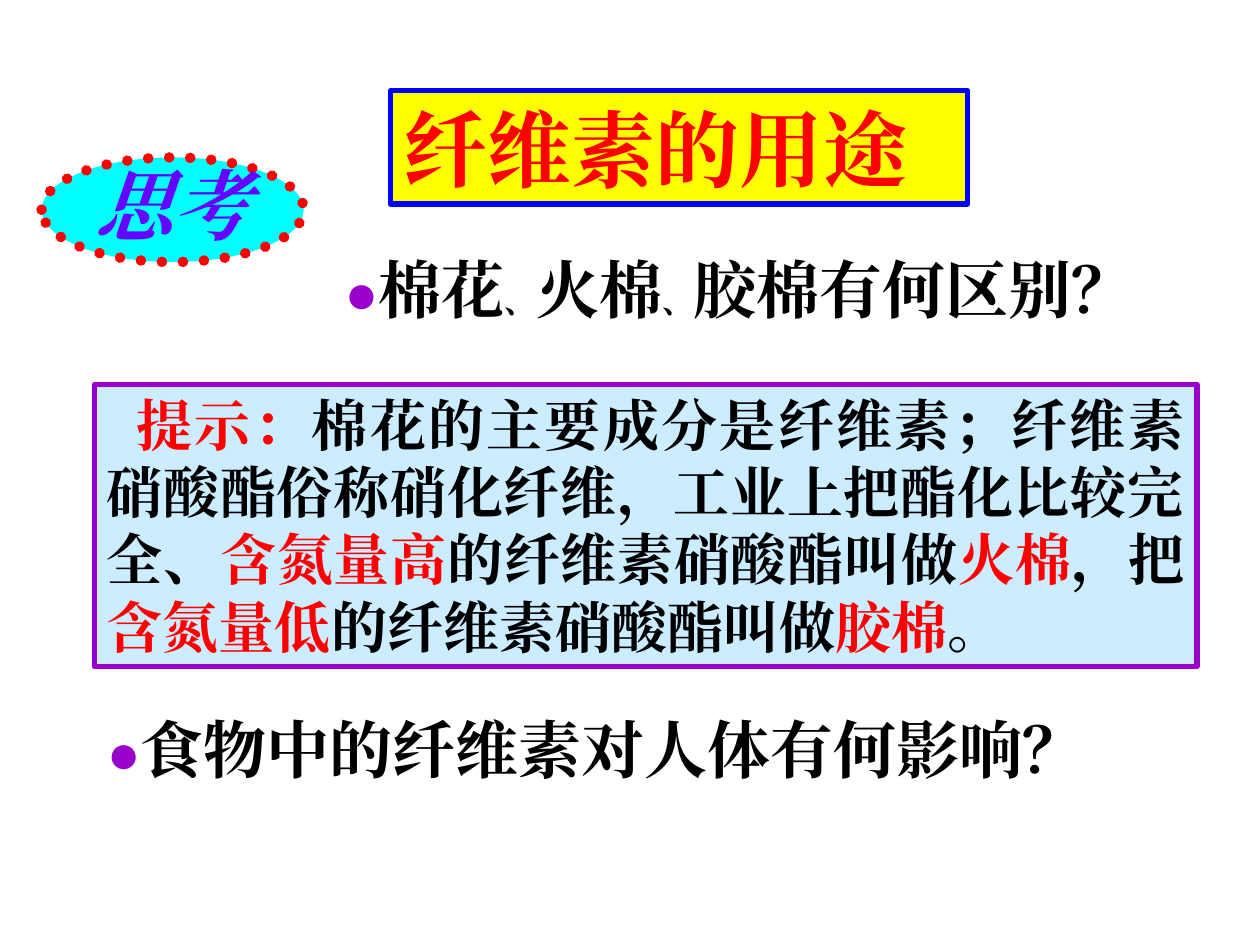
from dataclasses import dataclass
from typing import Optional

from lxml.etree import SubElement
from pptx import Presentation
from pptx.dml.color import RGBColor
from pptx.enum.dml import MSO_LINE
from pptx.enum.lang import MSO_LANGUAGE_ID
from pptx.enum.shapes import MSO_SHAPE
from pptx.enum.text import MSO_ANCHOR, PP_ALIGN
from pptx.oxml.ns import qn
from pptx.util import Pt

FONT = "Times New Roman"
RED, BLACK, PURPLE = "FF0000", "000000", "9900CC"


@dataclass
class Run:
    text: str
    size: float
    color: str = BLACK
    bold: bool = True
    italic: bool = False


@dataclass
class Box:
    left: float
    top: float
    width: float
    height: float


def rgb(value: str) -> RGBColor:
    return RGBColor.from_string(value)


def place(sp, box: Box) -> None:
    sp.left, sp.top = Pt(box.left), Pt(box.top)
    sp.width, sp.height = Pt(box.width), Pt(box.height)


def paint(sp, fill: str, line: str, weight: float) -> None:
    sp.fill.solid()
    sp.fill.fore_color.rgb = rgb(fill)
    sp.line.color.rgb = rgb(line)
    sp.line.width = Pt(weight)


def write(sp, runs: list[Run], *, align=PP_ALIGN.LEFT, anchor=MSO_ANCHOR.TOP,
          spacing: float = 1.0, indent: Optional[float] = None) -> None:
    tf = sp.text_frame
    tf.word_wrap = True
    tf.vertical_anchor = anchor
    tf.margin_left = tf.margin_right = Pt(7.2)
    tf.margin_top = tf.margin_bottom = Pt(3.6)
    p = tf.paragraphs[0]
    p.alignment, p.line_spacing = align, spacing
    p.space_before = Pt(0)
    if indent is not None:
        p._p.get_or_add_pPr().set("indent", str(Pt(indent)))
    for run in runs:
        r = p.add_run()
        r.text = run.text
        font = r.font
        font.name, font.size = FONT, Pt(run.size)
        font.bold, font.italic = run.bold, run.italic
        font.color.rgb = rgb(run.color)
        font.language_id = MSO_LANGUAGE_ID.SIMPLIFIED_CHINESE
        SubElement(r._r.get_or_add_rPr(), qn("a:ea")).set("typeface", FONT)


def add_panel(s, kind, box: Box, fill: str, line: str, weight: float):
    sp = s.shapes.add_shape(kind, 0, 0, 0, 0)
    place(sp, box)
    sp.shadow.inherit = False
    paint(sp, fill, line, weight)
    return sp


def add_question(s, box: Box, runs: list[Run], **fmt) -> None:
    sp = s.shapes.add_textbox(0, 0, 0, 0)
    place(sp, box)
    write(sp, [Run("●", 32, PURPLE, bold=False)] + runs, **fmt)


prs = Presentation()
prs.slide_width, prs.slide_height = Pt(720), Pt(540)
s = prs.slides.add_slide(prs.slide_layouts[5])

# Title
title = s.shapes.title
place(title, Box(223.2, 51.84, 329.76, 64.8))
paint(title, "FFFF00", "0000FF", 3)
write(title, [Run("纤维素的用途", 48, RED)], anchor=MSO_ANCHOR.MIDDLE)

# Hint, with the key terms in red
hint = add_panel(s, MSO_SHAPE.RECTANGLE, Box(54, 219.6, 630, 161.28),
                 "CCECFF", PURPLE, 3)
hint_parts = [
    ("提示：", RED),
    ("棉花的主要成分是纤维素；纤维素硝酸酯俗称硝化纤维，工业上把酯化比较完全、", BLACK),
    ("含氮量高", RED), ("的纤维素硝酸酯叫做", BLACK), ("火棉", RED),
    ("，把", BLACK),
    ("含氮量低", RED), ("的纤维素硝酸酯叫做", BLACK), ("胶棉", RED),
    ("。", BLACK),
]
write(hint, [Run(text, 32, color) for text, color in hint_parts],
      align=PP_ALIGN.JUSTIFY, indent=17)

# Question on food
add_question(s, Box(54, 414, 648, 37.44),
             [Run("食物中的纤维素对人体有何影响？", 36)], spacing=0.7)

# "Think" badge with a dotted outline
badge = add_panel(s, MSO_SHAPE.OVAL, Box(23.76, 90, 149.76, 59.76),
                  "00FFFF", RED, 6)
badge.line.dash_style = MSO_LINE.ROUND_DOT
badge.line._get_or_add_ln().set("cap", "rnd")
write(badge, [Run("思考", 44, "6600FF", italic=True)],
      align=PP_ALIGN.CENTER, anchor=MSO_ANCHOR.MIDDLE, spacing=0.9)

# Question on the kinds of cotton
add_question(s, Box(167.04, 139.68, 511.2, 50.4),
             [Run("棉花", 36), Run("、", 18), Run("火棉", 36),
              Run("、", 18), Run("胶棉有何区别？", 36)],
             align=PP_ALIGN.CENTER)

prs.save("out.pptx")
